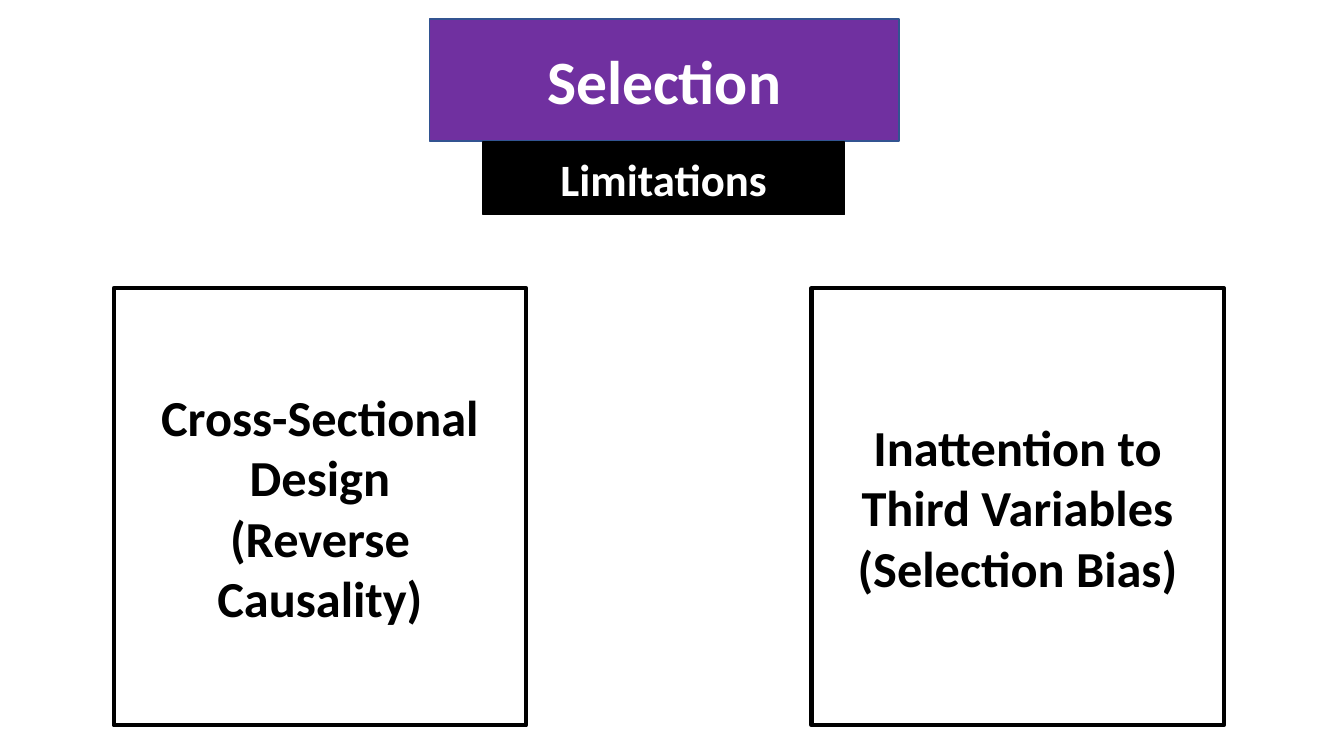
from pptx import Presentation
from pptx.dml.color import RGBColor
from pptx.enum.shapes import MSO_SHAPE
from pptx.enum.text import MSO_ANCHOR, MSO_AUTO_SIZE, PP_ALIGN
from pptx.util import Cm, Pt

COLORS = {"purple": "7030A0", "blue": "325491", "black": "000000", "white": "FFFFFF"}


class Deck:
    """Hold the text style and the current slide."""

    def __init__(self, width, height):
        self.deck = Presentation()
        self.deck.slide_width, self.deck.slide_height = Cm(width), Cm(height)
        self.slide = self.deck.slides.add_slide(self.deck.slide_layouts[5])
        self.font = {"name": "Calibri", "bold": True}
        self.frame = {
            "word_wrap": True,
            "auto_size": MSO_AUTO_SIZE.NONE,
            "vertical_anchor": MSO_ANCHOR.MIDDLE,
        }
        self.para = {"alignment": PP_ALIGN.CENTER, "line_spacing": 1.0}

    def apply(self, target, values):
        for key, value in values.items():
            setattr(target, key, value)

    def color(self, name):
        return RGBColor.from_string(COLORS[name])

    def format(self, shape, lines, size, fill, edge, width, ink):
        shape.fill.solid()
        shape.fill.fore_color.rgb = self.color(fill)
        shape.line.color.rgb = self.color(edge)
        shape.line.width = Pt(width)
        frame = shape.text_frame
        frame.text = "\n".join(lines)
        self.apply(frame, self.frame)
        for para in frame.paragraphs:
            self.apply(para, self.para)
            for run in para.runs:
                self.apply(run.font, {**self.font, "size": Pt(size)})
                run.font.color.rgb = self.color(ink)

    def title(self, text, box, **style):
        shape = self.slide.shapes.title
        names = ("left", "top", "width", "height")
        self.apply(shape, dict(zip(names, map(Cm, box))))
        self.format(shape, [text], **style)

    def panel(self, lines, box, **style):
        shape = self.slide.shapes.add_shape(MSO_SHAPE.RECTANGLE, *map(Cm, box))
        shape.shadow.inherit = False
        self.format(shape, lines, **style)

    def save(self):
        self.deck.save("out.pptx")


def main():
    deck = Deck(33.87, 19.05)
    deck.title("Selection", (10.82, 0.48, 11.84, 3.07),
               size=44, fill="purple", edge="blue", width=1, ink="white")
    deck.panel(["Limitations"], (12.17, 3.58, 9.12, 1.83),
               size=32, fill="black", edge="black", width=1, ink="white")
    limits = [
        ["Cross-Sectional Design", "(Reverse Causality)"],
        ["Inattention to Third Variables", "(Selection Bias)"],
    ]
    for left, lines in zip((2.87, 20.45), limits):
        deck.panel(lines, (left, 7.26, 10.39, 11.02),
                   size=36, fill="white", edge="black", width=3, ink="black")
    deck.save()


if __name__ == "__main__":
    main()
